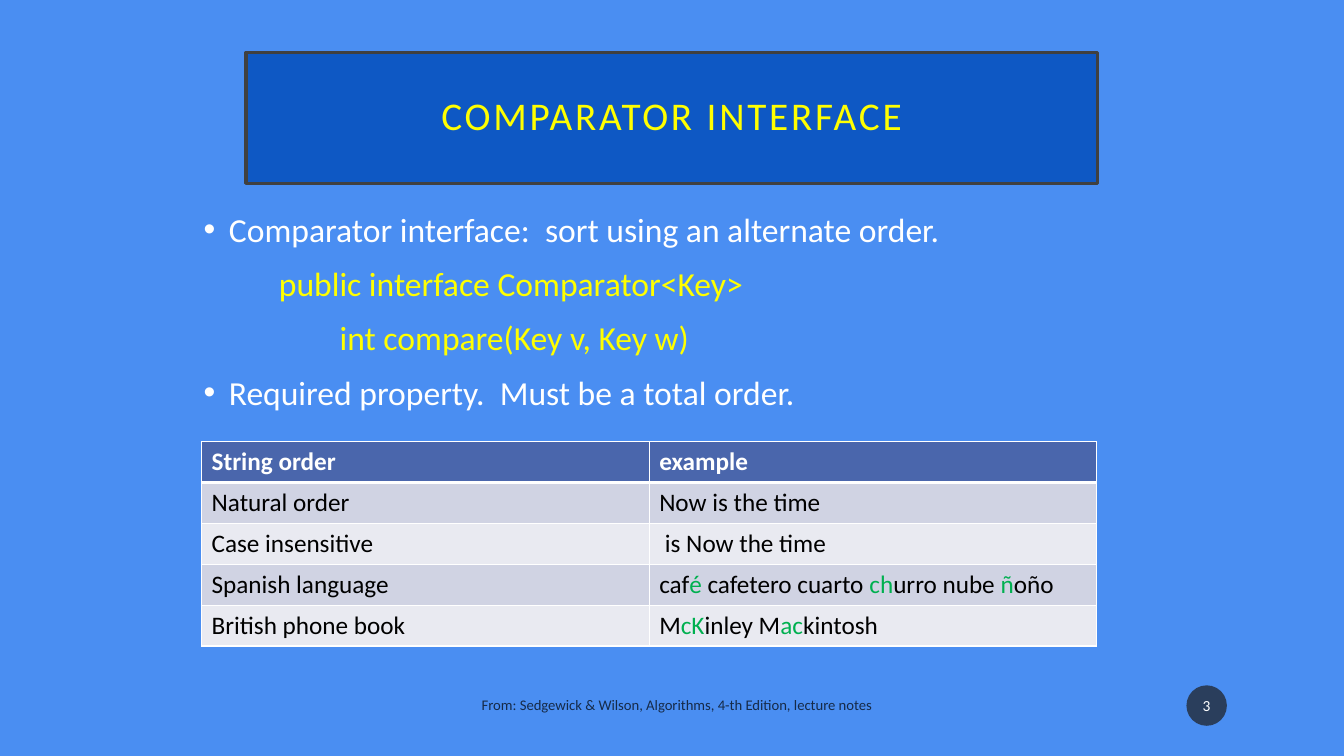
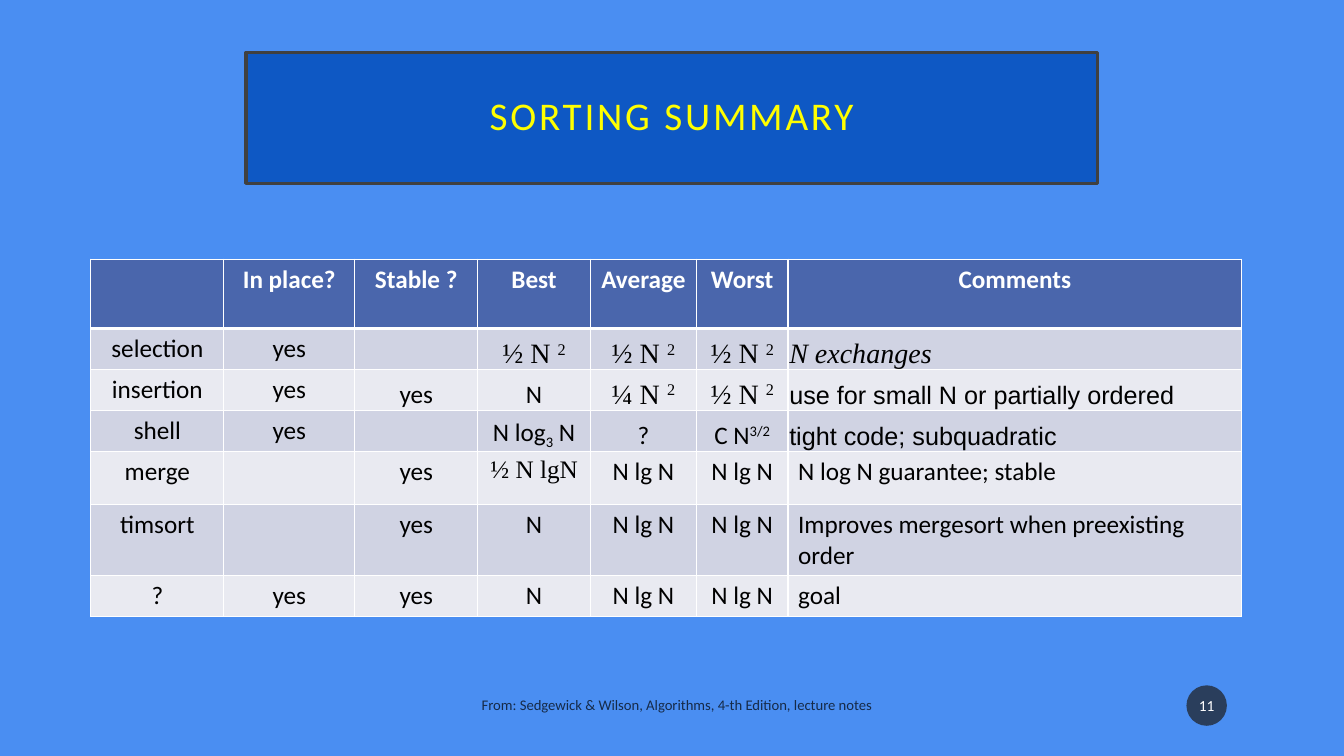
from dataclasses import dataclass

from lxml import etree
from pptx import Presentation
from pptx.dml.color import RGBColor
from pptx.enum import shapes, text
from pptx.oxml.ns import qn
from pptx.util import Cm, Pt


@dataclass(frozen=True)
class Theme:
    background: str = "4A8EF2"
    band: str = "0E58C4"
    band_line: str = "404040"
    highlight: str = "FFFF00"
    light: str = "FFFFFF"
    dark: str = "000000"
    badge: str = "1D1D1D"
    accent: str = "00B050"
    header: str = "4A66AC"
    stripes: tuple = ("E9EAF1", "D0D3E3")
    font: str = "Calibri"
    serif: str = "Times New Roman"
    sans: str = "Arial"
    title_size: float = 28
    body_size: float = 24
    formula_size: float = 20
    table_size: float = 18
    badge_size: float = 11
    footer_size: float = 10.5


theme = Theme()


def write(paragraph, marked_text, size, colour, font=theme.font, bold=False,
          italic=False, baseline=None):
    for index, part in enumerate(marked_text.split("|")):
        run = paragraph.add_run()
        run.text = part
        run.font.size = Pt(size)
        run.font.name = font
        run.font.bold = bold
        run.font.italic = italic
        marked = index % 2 == 1
        if marked and baseline:
            run.font._element.set("baseline", str(baseline * 1000))
        run.font.color.rgb = RGBColor.from_string(
            theme.accent if marked and not baseline else colour)


def add_grid(slide, left, top, widths, heights):
    table = slide.shapes.add_table(
        len(heights), len(widths), Cm(left), Cm(top),
        Cm(sum(widths)), Cm(sum(heights))).table
    for column, width in zip(table.columns, widths):
        column.width = Cm(width)
    for row_index, height in enumerate(heights):
        table.rows[row_index].height = Cm(height)
        for cell in table.rows[row_index].cells:
            properties = cell._tc.get_or_add_tcPr()
            for side in "LRTB":
                heavy = (row_index, side) in ((0, "B"), (1, "T"))
                border = etree.SubElement(properties, qn(f"a:ln{side}"),
                                          w=str(Pt(3 if heavy else 1)))
                paint = etree.SubElement(border, qn("a:solidFill"))
                etree.SubElement(paint, qn("a:srgbClr"), val=theme.light)
            cell.fill.solid()
            cell.fill.fore_color.rgb = RGBColor.from_string(
                theme.stripes[row_index % 2] if row_index else theme.header)
    return table


deck = Presentation()
deck.slide_width, deck.slide_height = Cm(33.87), Cm(19.05)
deck.slide_master.background.fill.solid()
deck.slide_master.background.fill.fore_color.rgb = RGBColor.from_string(theme.background)

slides = []
for heading, number in (("COMPARATOR INTERFACE", "3"), ("SORTING SUMMARY", "11")):
    slide = deck.slides.add_slide(deck.slide_layouts[5])
    slides.append(slide)

    title = slide.shapes.title
    title.left, title.top, title.width, title.height = Cm(6.2), Cm(1.32), Cm(21.46), Cm(3.3)
    title.fill.solid()
    title.fill.fore_color.rgb = RGBColor.from_string(theme.band)
    title.line.color.rgb = RGBColor.from_string(theme.band_line)
    title.line.width = Pt(2.5)
    frame = title.text_frame
    frame.auto_size = text.MSO_AUTO_SIZE.NONE
    frame.vertical_anchor = text.MSO_ANCHOR.MIDDLE
    frame.margin_left = frame.margin_right = frame.margin_top = frame.margin_bottom = Cm(0.5)
    title_line = frame.paragraphs[0]
    title_line.alignment = text.PP_ALIGN.CENTER
    title_line.line_spacing = 0.9
    write(title_line, heading, theme.title_size, theme.highlight)
    title_line.runs[0].font._element.set("spc", "200")

    footer = slide.shapes.add_textbox(Cm(11.89), Cm(17.32), Cm(11.4), Cm(0.89))
    footer.text_frame.word_wrap = True
    footer.text_frame.vertical_anchor = text.MSO_ANCHOR.MIDDLE
    write(footer.text_frame.paragraphs[0],
          "From: Sedgewick & Wilson, Algorithms, 4-th Edition, lecture notes",
          theme.footer_size, theme.dark)

    badge = slide.shapes.add_shape(shapes.MSO_SHAPE.OVAL, Cm(29.9), Cm(17.27), Cm(1.02), Cm(1.02))
    badge.shadow.inherit = False
    badge.fill.solid()
    badge.fill.fore_color.rgb = RGBColor.from_string(theme.badge)
    badge.line.fill.background()
    badge.text_frame.vertical_anchor = text.MSO_ANCHOR.MIDDLE
    badge.text_frame.margin_left = badge.text_frame.margin_right = Cm(0.05)
    badge_line = badge.text_frame.paragraphs[0]
    badge_line.alignment = text.PP_ALIGN.CENTER
    write(badge_line, number, theme.badge_size, theme.light)

    for translucent in (footer._element.txBody, badge._element.spPr):
        for colour in translucent.iter(qn("a:srgbClr")):
            etree.SubElement(colour, qn("a:alpha"), val="70000")

comparator, summary = slides

points = comparator.shapes.add_textbox(Cm(4.88), Cm(5.13), Cm(24.51), Cm(5.8))
points.text_frame.word_wrap = True
statements = (
    ("Comparator interface:  sort using an alternate order.", 0),
    ("public interface Comparator<Key>", 1.9),
    ("int compare(Key v, Key w)", 3.43),
    ("Required property.  Must be a total order.", 0),
)
for index, (statement, code_indent) in enumerate(statements):
    frame = points.text_frame
    paragraph = frame.add_paragraph() if index else frame.paragraphs[0]
    paragraph.space_before = Pt(10)
    write(paragraph, statement, theme.body_size,
          theme.highlight if code_indent else theme.light)
    properties = paragraph._p.get_or_add_pPr()
    if code_indent:
        properties.set("marL", str(Cm(code_indent)))
        properties.set("indent", "0")
    else:
        properties.set("marL", str(Cm(0.64)))
        properties.set("indent", str(-Cm(0.64)))
        etree.SubElement(properties, qn("a:buFont"), typeface=theme.sans)
        etree.SubElement(properties, qn("a:buChar"), char="•")

orders = (
    ("String order", "example"),
    ("Natural order", "Now is the time"),
    ("Case insensitive", " is Now the time"),
    ("Spanish language", "caf|é |cafetero cuarto |ch|urro nube |ñ|oño"),
    ("British phone book", "M|cK|inley M|ac|kintosh"),
)
order_table = add_grid(comparator, 5.08, 11.13, [11.28] * 2, [1.03] * len(orders))
for row_index, row in enumerate(orders):
    for column_index, entry in enumerate(row):
        write(order_table.cell(row_index, column_index).text_frame.paragraphs[0], entry,
              theme.table_size, theme.dark if row_index else theme.light,
              bold=row_index == 0)

sorts = (
    ("", "In place?", "Stable ?", "Best", "Average", "Worst", "Comments"),
    ("selection", "yes", "", "½ N |2", "½ N |2", "½ N |2", "N exchanges"),
    ("insertion", "yes", "yes", "N", "¼ N |2", "½ N |2", "use for small N or partially ordered"),
    ("shell", "yes", "", "N log|3| N", "?", "C N|3/2", "tight code; subquadratic"),
    ("merge", "", "yes", "½ N lgN", "N lg N", "N lg N", "N log N guarantee; stable"),
    ("timsort", "", "yes", "N", "N lg N", "N lg N", "Improves mergesort when preexisting order"),
    ("?", "yes", "yes", "N", "N lg N", "N lg N", "goal"),
)
sort_table = add_grid(summary, 2.29, 6.53, [3.35, 3.3, 3.1, 2.84, 2.67, 2.31, 11.43],
                      [1.75, 1.03, 1.03, 1.03, 1.35, 1.75, 1.03])
for row_index, row in enumerate(sorts):
    for column_index, entry in enumerate(row):
        if not entry:
            continue
        cell = sort_table.cell(row_index, column_index)
        comment = row_index > 0 and column_index == 6
        tight = 1 <= row_index <= 3 and column_index >= 2
        exchanges = entry == "N exchanges"
        formula = entry[0] in "½¼" or exchanges
        if tight:
            cell.vertical_anchor = text.MSO_ANCHOR.BOTTOM
            cell.margin_left = cell.margin_right = cell.margin_top = Cm(0.03)
            cell.margin_bottom = 0
        paragraph = cell.text_frame.paragraphs[0]
        paragraph.alignment = text.PP_ALIGN.LEFT if comment else text.PP_ALIGN.CENTER
        write(paragraph, entry,
              theme.formula_size if formula and tight else theme.table_size,
              theme.dark if row_index else theme.light,
              font=theme.serif if formula else theme.sans if comment and tight else theme.font,
              bold=row_index == 0, italic=exchanges,
              baseline=-25 if "log|" in entry else 30)

deck.save("out.pptx")
